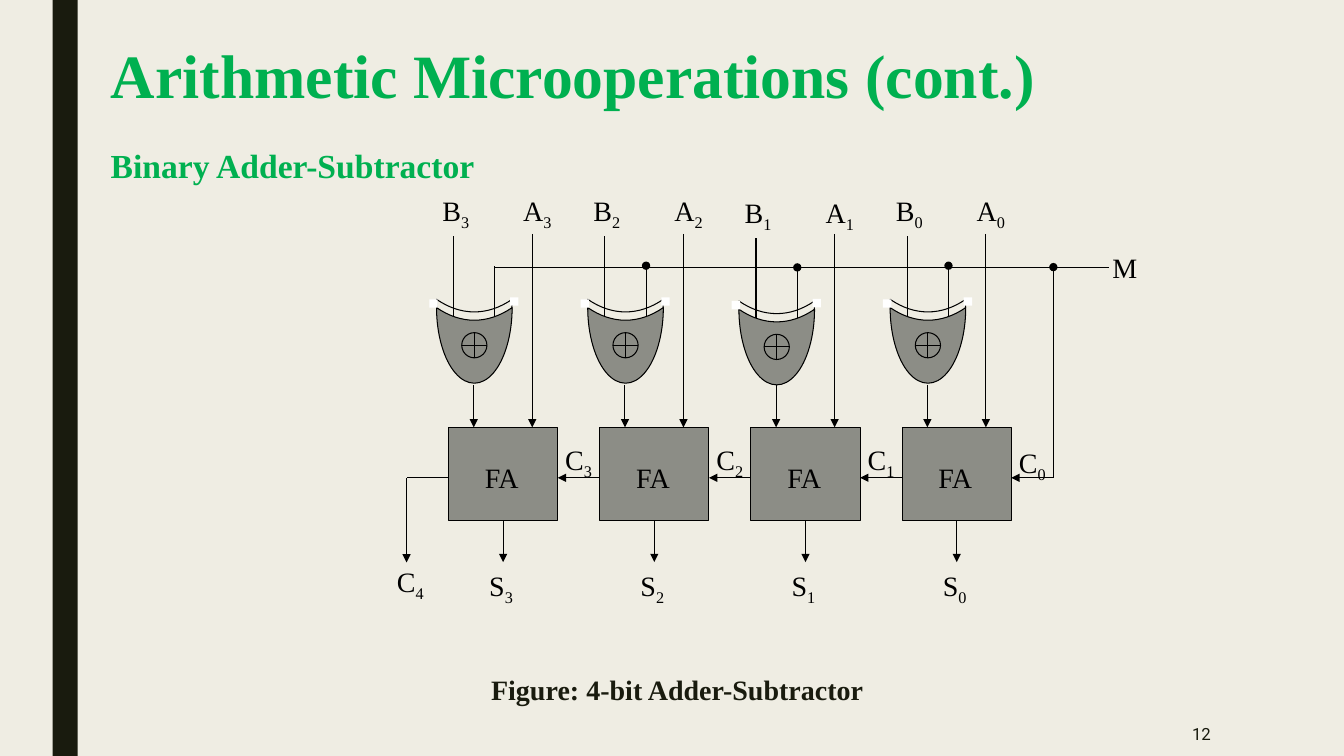
import dataclasses

import lxml.etree
import pptx
import pptx.dml.color
import pptx.enum.shapes
import pptx.enum.text
import pptx.oxml.ns
import pptx.util

Pt = pptx.util.Pt
Kind = pptx.enum.shapes.MSO_SHAPE
Align = pptx.enum.text.PP_ALIGN
Anchor = pptx.enum.text.MSO_ANCHOR

INK = "000000"
DARK = "191B0E"
GREEN = "00B050"
GREY = "8C8D86"
WHITE = "FFFFFF"
CREAM = "EFEDE3"

PITCH = 108
BOX_TOP, BOX_WIDE, BOX_HIGH = 305.3, 78, 66.2
GAP = PITCH - BOX_WIDE
BUS = 190.8
CARRY = 341.3


@dataclasses.dataclass
class Bit:
    num: int
    drop: float = 0

    @property
    def left(self) -> float:
        return 320.4 + PITCH * (3 - self.num)


BITS = [Bit(3), Bit(2), Bit(1, drop=1.2), Bit(0)]

deck = pptx.Presentation()
deck.slide_width, deck.slide_height = Pt(960), Pt(540)
slide = deck.slides.add_slide(deck.slide_layouts[6])


def paint(target, tone: str) -> None:
    target.solid()
    target.fore_color.rgb = pptx.dml.color.RGBColor.from_string(tone)


def shape(kind, left: float, top: float, wide: float, high: float,
          fill: str = "", edge: str = ""):
    item = slide.shapes.add_shape(kind, Pt(left), Pt(top), Pt(wide), Pt(high))
    item.shadow.inherit = False
    if fill:
        paint(item.fill, fill)
    else:
        item.fill.background()
    if edge:
        paint(item.line.fill, edge)
        item.line.width = Pt(0.75)
    else:
        item.line.fill.background()
    return item


def wire(x1: float, y1: float, x2: float, y2: float,
         head: str = "", tail: str = ""):
    line = slide.shapes.add_connector(
        pptx.enum.shapes.MSO_CONNECTOR.STRAIGHT, Pt(x1), Pt(y1), Pt(x2), Pt(y2))
    paint(line.line.fill, INK)
    line.line.width = Pt(0.75)
    name = pptx.oxml.ns.qn
    stroke = line.line._get_or_add_ln()
    for tag, tip in (("a:headEnd", head), ("a:tailEnd", tail)):
        if tip:
            lxml.etree.SubElement(stroke, name(tag)).set("type", tip)
    lxml.etree.SubElement(stroke.getparent(), name("a:effectLst"))
    return line


def text(words: str, left: float, top: float, wide: float = 41.8,
         high: float = 31.7, *, sub: str = "", size: float = 20,
         tone: str = INK, font: str = "Times New Roman", bold: bool = False,
         align=Align.CENTER, anchor=Anchor.TOP, space: float = 1) -> None:
    frame = slide.shapes.add_textbox(
        Pt(left), Pt(top), Pt(wide), Pt(high)).text_frame
    frame.word_wrap = True
    frame.vertical_anchor = anchor
    para = frame.paragraphs[0]
    para.alignment = align
    para.line_spacing = space
    for part in filter(None, (words, sub)):
        run = para.add_run()
        run.text = part
        run.font.name = font
        run.font.size = Pt(size)
        run.font.bold = bold
        paint(run.font.fill, tone)
    if sub:
        run.font._element.set("baseline", "-25000")


def adder(bit: Bit) -> None:
    left, num = bit.left, str(bit.num)
    box = shape(Kind.RECTANGLE, left, BOX_TOP, BOX_WIDE, BOX_HIGH, GREY, INK)
    text("FA", left + 8, 325.5, 60)
    base = BOX_TOP + BOX_HIGH
    out = wire(left + BOX_WIDE / 2, base, left + BOX_WIDE / 2, base + 30,
               tail="triangle")
    out.begin_connect(box, 2)
    wire(left + PITCH, CARRY, left + BOX_WIDE, CARRY, tail="triangle")
    text("A", left + 42.5, 134.7 + bit.drop, sub=num)
    text("B", left - 15.8, 134.7 + bit.drop, sub=num)
    text("S", left + 16.6, 402.5, sub=num)
    text("C", left + 72, 312.5 if bit.num else 314.7, sub=num)


def gate(bit: Bit) -> None:
    left, drop = bit.left, bit.drop
    for top, fill in ((213.8, ""), (219.7, GREY)):
        moon = shape(Kind.MOON, left - 8.6, top + drop, 54, 54, fill, INK)
        moon.rotation = 270
        moon.adjustments[0] = 0.833
    for side, top in ((-13.7, 213.8), (44, 212.4)):
        shape(Kind.RECTANGLE, left + side, top + drop, 6, 6, WHITE)
    wire(left + 3.6, 226 + drop, left + 3.6, 168.5 + drop)
    wire(left + 33.1, 226 + drop, left + 33.1, 189.8 + drop,
         tail="oval" if bit.num < 3 else "")
    plus = shape(Kind.FLOWCHART_OR, left + 9.4, 237.6 + drop, 18, 18, GREY, INK)
    plus.rotation = 270
    wire(left + 18, 275, left + 18, BOX_TOP, tail="triangle")
    wire(left + 59.8, 167, left + 59.8, BOX_TOP, tail="triangle")


def main() -> None:
    paint(slide.background.fill, CREAM)
    shape(Kind.RECTANGLE, 37.5, 0, 18, 540, DARK)
    text("Arithmetic Microoperations (cont.)", 72, 26, 675, 57.6, size=44,
         tone=GREEN, bold=True, align=Align.LEFT, anchor=Anchor.BOTTOM,
         space=0.89)
    text("Binary Adder-Subtractor", 72, 100, 823.7, 36, size=24, tone=GREEN,
         bold=True, align=Align.LEFT)
    text("Figure: 4-bit Adder-Subtractor", 72, 476.5, 823.7, tone=DARK,
         bold=True)
    for bit in BITS:
        adder(bit)
    for bit in BITS:
        gate(bit)

    first, last = BITS[0].left, BITS[-1].left + PITCH
    wire(first, CARRY, first - GAP, CARRY)
    wire(first - GAP, CARRY, first - GAP, 401.8, tail="triangle")
    text("C", 272.2, 399.7, sub="4")
    wire(first + 33.1, BUS, 792, BUS)
    wire(last, BUS, last, CARRY, head="oval")
    text("M", 785.5, 175.7, 36)
    text("12", 746, 508.3, 126, size=12, tone=DARK, font="Roboto",
         align=Align.RIGHT, anchor=Anchor.MIDDLE)
    deck.save("out.pptx")


if __name__ == "__main__":
    main()
